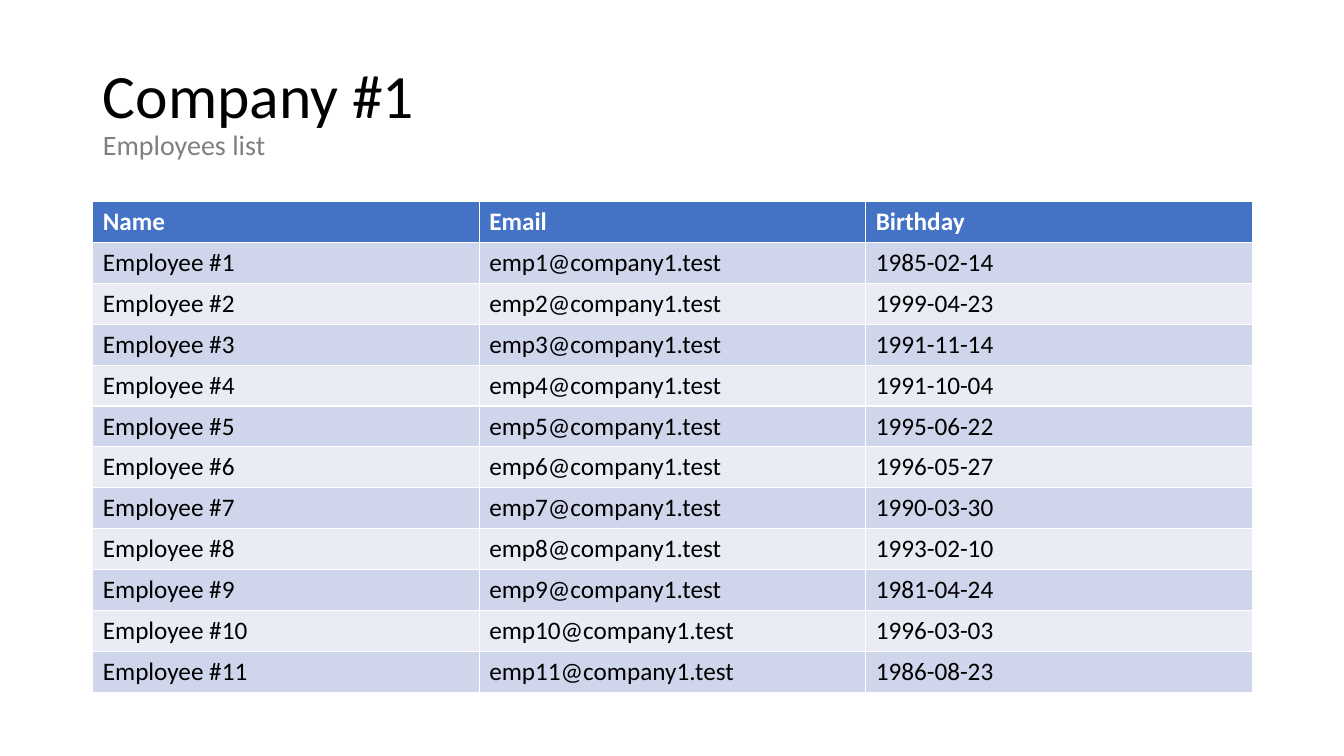
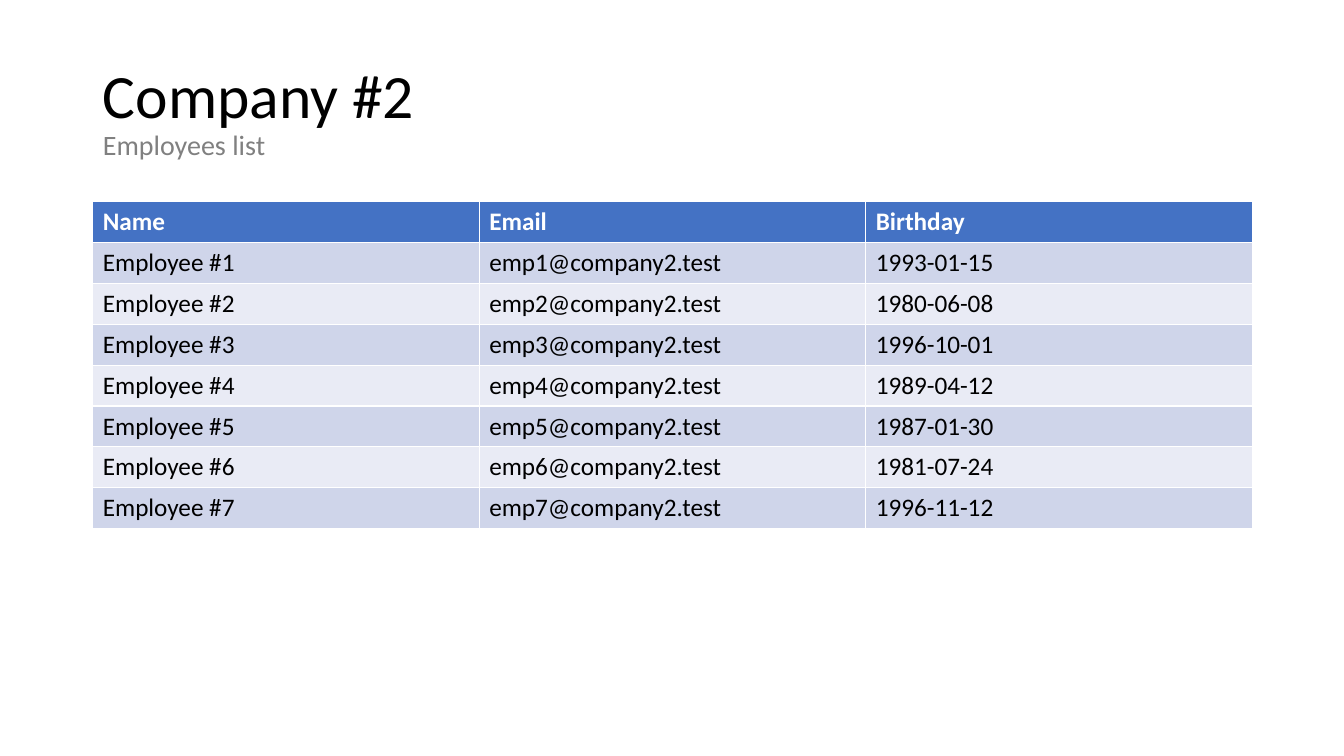
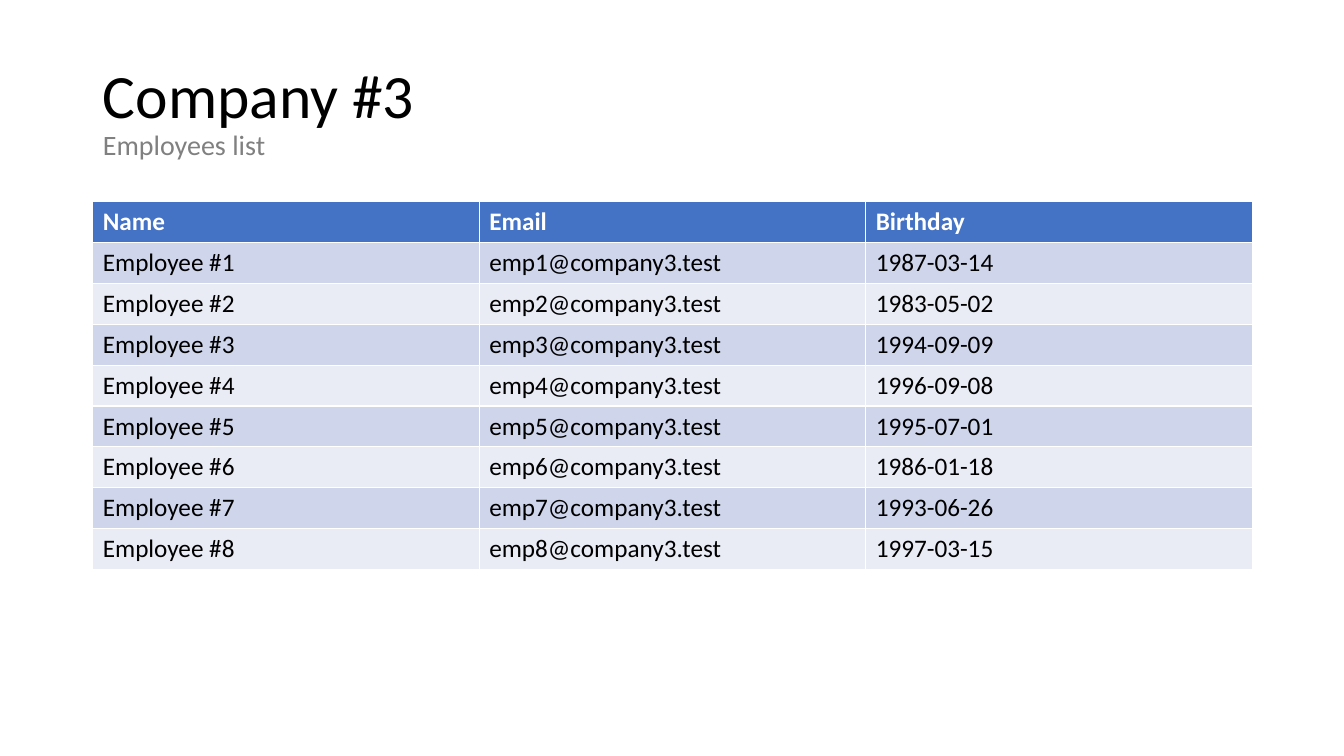
import pptx
import pptx.dml.color
import pptx.enum.text
import pptx.util

Inches = pptx.util.Inches
Pt = pptx.util.Pt

FONT = "Calibri"
COLORS = {
    "text": "000000",
    "subtitle": "808080",
    "header_text": "FFFFFF",
    "header": "4472C4",
    "odd_band": "CFD5EA",
    "even_band": "E9EBF5",
}
TITLE_BOX = (0.92, 0.4, 11.5, 1.45)
TABLE_BOX = (0.92, 2, 11.5)
ROW_HEIGHT = 29.2 / 72
HEADINGS = ("Name", "Email", "Birthday")
BIRTHDAYS = {
    1: ["1985-02-14", "1999-04-23", "1991-11-14", "1991-10-04", "1995-06-22", "1996-05-27",
        "1990-03-30", "1993-02-10", "1981-04-24", "1996-03-03", "1986-08-23"],
    2: ["1993-01-15", "1980-06-08", "1996-10-01", "1989-04-12", "1987-01-30", "1981-07-24",
        "1996-11-12"],
    3: ["1987-03-14", "1983-05-02", "1994-09-09", "1996-09-08", "1995-07-01", "1986-01-18",
        "1993-06-26", "1997-03-15"],
}


def rgb(name):
    """Return the named palette colour."""
    return pptx.dml.color.RGBColor.from_string(COLORS[name])


def add_run(paragraph, text, size, color, bold=False):
    """Append one formatted run to a paragraph."""
    run = paragraph.add_run()
    run.text = text
    run.font.name = FONT
    run.font.size = Pt(size)
    run.font.bold = bold
    run.font.color.rgb = rgb(color)


def place_title(slide, box, company):
    """Fill the title placeholder with the company and its subtitle."""
    title = slide.shapes.title
    title.left, title.top, title.width, title.height = map(Inches, box)
    title.text_frame.auto_size = pptx.enum.text.MSO_AUTO_SIZE.NONE
    title.text_frame.vertical_anchor = pptx.enum.text.MSO_ANCHOR.MIDDLE
    heading = title.text_frame.paragraphs[0]
    heading.alignment = pptx.enum.text.PP_ALIGN.LEFT
    heading.line_spacing = 0.9
    add_run(heading, company, 44, "text")
    heading.add_line_break()
    add_run(heading, "Employees list", 20, "subtitle")


def place_employees(slide, box, records):
    """Add the banded employee table under its header row."""
    left, top, width = box
    rows = [HEADINGS, *records]
    employees = slide.shapes.add_table(
        len(rows), len(HEADINGS), Inches(left), Inches(top),
        Inches(width), Inches(ROW_HEIGHT * len(rows))).table
    for column in employees.columns:
        column.width = Inches(width / len(HEADINGS))
    for number, values in enumerate(rows):
        employees.rows[number].height = Inches(ROW_HEIGHT)
        is_header = number == 0
        band = "header" if is_header else "odd_band" if number % 2 else "even_band"
        color = "header_text" if is_header else "text"
        for cell, value in zip(employees.rows[number].cells, values):
            cell.fill.solid()
            cell.fill.fore_color.rgb = rgb(band)
            add_run(cell.text_frame.paragraphs[0], value, 18, color, bold=is_header)


def build_company_slide(deck, company, birthdays):
    """Add the slide that lists one company's employees."""
    slide = deck.slides.add_slide(deck.slide_layouts.get_by_name("Title Only"))
    place_title(slide, TITLE_BOX, f"Company #{company}")
    records = [(f"Employee #{employee}", f"emp{employee}@company{company}.test", birthday)
               for employee, birthday in enumerate(birthdays, start=1)]
    place_employees(slide, TABLE_BOX, records)


def main():
    """Build and save the deck."""
    deck = pptx.Presentation()
    deck.slide_width, deck.slide_height = Inches(13.33), Inches(7.5)
    for company, birthdays in BIRTHDAYS.items():
        build_company_slide(deck, company, birthdays)
    deck.save("out.pptx")


if __name__ == "__main__":
    main()
